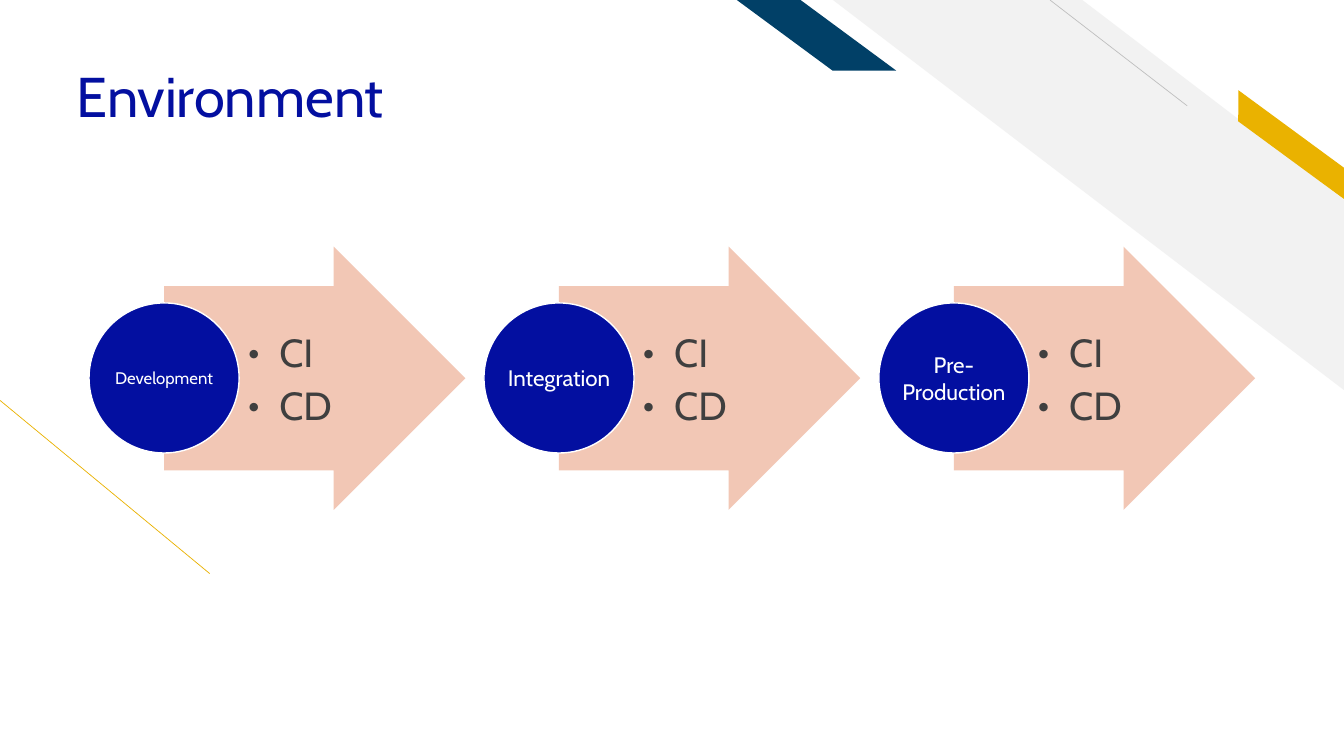
"""Build the Environment slide: three pipeline stages, each with CI and CD."""
from lxml import etree
from pptx import Presentation
from pptx.dml.color import RGBColor
from pptx.enum.shapes import MSO_CONNECTOR, MSO_SHAPE as Preset
from pptx.enum.text import MSO_ANCHOR as Anchor, MSO_AUTO_SIZE as AutoSize, PP_ALIGN as Align
from pptx.oxml.ns import qn
from pptx.util import Pt

COLORS = {
    "blue": "030FA0", "navy": "014067", "gold": "EAB200", "peach": "F1C1AE",
    "pale": "F2F2F2", "gray": "BFBFBF", "text": "3F3F3F", "white": "FFFFFF",
}


def add_preset(preset, left, top, width, height, color, adjustments=()):
    shape = page.shapes.add_shape(preset, Pt(left), Pt(top), Pt(width), Pt(height))
    shape.shadow.inherit = False
    shape.fill.solid()
    shape.fill.fore_color.rgb = RGBColor.from_string(COLORS[color])
    shape.line.fill.background()
    for index, value in enumerate(adjustments):
        shape.adjustments[index] = value
    return shape


def set_font(para, size, color):
    para.font.name = "Cabin"
    para.font.size = Pt(size)
    para.font.color.rgb = RGBColor.from_string(COLORS[color])


deck = Presentation()
deck.slide_width, deck.slide_height = Pt(960), Pt(540)
page = deck.slides.add_slide(deck.slide_layouts[5])

stripe = add_preset(Preset.DIAGONAL_STRIPE, 595, 0, 365, 278.6, "pale", [0.512])
gold_band = add_preset(Preset.PARALLELOGRAM, 869, 94.3, 106.6, 18, "gold", [0.72])
navy_band = add_preset(Preset.PARALLELOGRAM, 526.3, 0, 113.8, 50.4, "navy", [1.356])
gold_band.rotation = 36.3
for band in (stripe, gold_band, navy_band):
    band.element.spPr.find(qn("a:xfrm")).set("flipH", "1")

for x1, y1, x2, y2, color in [(149.8, 409.7, 0, 286, "gold"), (848, 75.6, 750, 0, "gray")]:
    line = page.shapes.add_connector(MSO_CONNECTOR.STRAIGHT, Pt(x1), Pt(y1), Pt(x2), Pt(y2))
    line.line.color.rgb = RGBColor.from_string(COLORS[color])
    line.line.width = Pt(0.5)
    etree.SubElement(line.element.spPr, qn("a:effectLst"))

title = page.shapes.title
title.left, title.top, title.width, title.height = Pt(47.5), Pt(45.4), Pt(900), Pt(50.4)
title.text_frame.text = "Environment"
title.text_frame.auto_size = AutoSize.NONE
title.text_frame.vertical_anchor = Anchor.TOP
heading = title.text_frame.paragraphs[0]
heading.alignment = Align.LEFT
heading.line_spacing = Pt(43)
set_font(heading, 40, "blue")

stages = [("Development", 12), ("Integration", 16), ("Pre-Production", 16)]
for position, (stage, size) in enumerate(stages):
    left = 63.6 + position * 282.1

    arrow = add_preset(Preset.RIGHT_ARROW, left + 53.6, 176.2, 215.2, 188, "peach", [0.7, 0.5])
    fill_color = arrow.element.spPr.find(qn("a:solidFill"))[0]
    etree.SubElement(fill_color, qn("a:alpha"), val="90000")

    box = page.shapes.add_textbox(Pt(left + 107.6), Pt(204.3), Pt(105), Pt(131.8))
    frame = box.text_frame
    frame.word_wrap = True
    frame.vertical_anchor = Anchor.MIDDLE
    frame.margin_left, frame.margin_right = Pt(5.8), Pt(2.9)
    frame.margin_top = frame.margin_bottom = Pt(1.4)
    frame.text = "CI\nCD"
    for para in frame.paragraphs:
        para.level = 1
        para.space_after = Pt(4.2)
        properties = para._p.get_or_add_pPr()
        properties.set("marL", str(Pt(22.5)))
        properties.set("indent", str(-Pt(22.5)))
        etree.SubElement(properties, qn("a:buFont"), typeface="Cabin")
        etree.SubElement(properties, qn("a:buChar"), char="•")
        set_font(para, 28, "text")

    circle = add_preset(Preset.OVAL, left, 216.4, 107.2, 107.2, "blue")
    circle.line.color.rgb = RGBColor.from_string(COLORS["white"])
    circle.line.width = Pt(1)
    frame = circle.text_frame
    frame.word_wrap = True
    frame.vertical_anchor = Anchor.MIDDLE
    frame.margin_left = frame.margin_right = frame.margin_top = frame.margin_bottom = Pt(0.8)
    frame.text = stage
    frame.paragraphs[0].alignment = Align.CENTER
    set_font(frame.paragraphs[0], size, "white")

deck.save("out.pptx")
